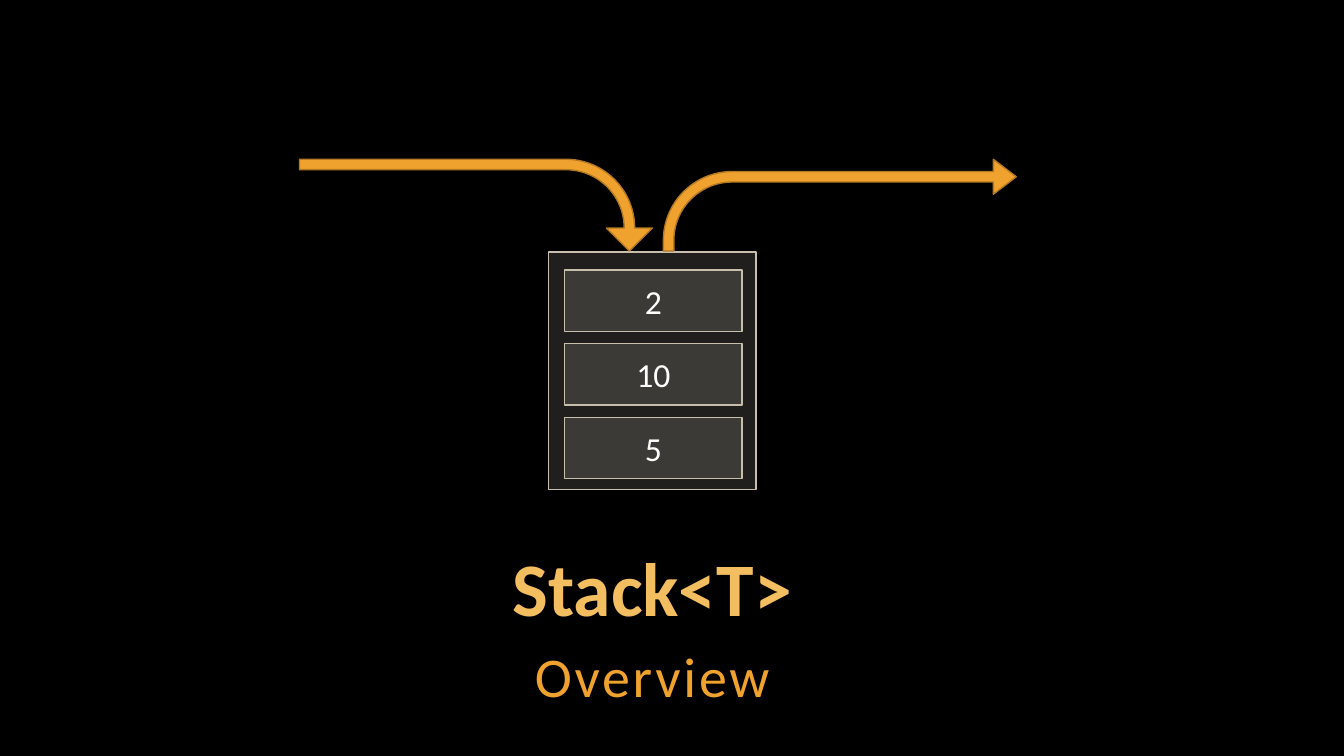
import pptx
import pptx.util
import pptx.dml.color
import pptx.enum.shapes
import pptx.enum.text
import pptx.oxml
import pptx.oxml.ns

Inches = pptx.util.Inches
Pt = pptx.util.Pt
SHAPE = pptx.enum.shapes.MSO_SHAPE
ANCHOR = pptx.enum.text.MSO_ANCHOR
qn = pptx.oxml.ns.qn


def paint(color, code):
    color.rgb = pptx.dml.color.RGBColor.from_string(code)


def write(shape, text, size, code, anchor, pads):
    """Fill a shape with one centred paragraph."""
    frame = shape.text_frame
    frame.text = text
    frame.word_wrap = True
    frame.auto_size = pptx.enum.text.MSO_AUTO_SIZE.NONE
    frame.vertical_anchor = anchor
    frame.margin_left = frame.margin_right = Inches(pads[0])
    frame.margin_top = frame.margin_bottom = Inches(pads[1])
    para = frame.paragraphs[0]
    para.alignment = pptx.enum.text.PP_ALIGN.CENTER
    para.font.name = "Calibri"
    para.font.size = Pt(size)
    paint(para.font.color, code)
    return para


def place(shape, left, top, width, height):
    shape.left, shape.top = Inches(left), Inches(top)
    shape.width, shape.height = Inches(width), Inches(height)


def draw(shapes, kind, box, fill, line, alpha=None):
    """Add a filled, outlined shape, see-through if alpha is given."""
    shape = shapes.add_shape(kind, *map(Inches, box))
    shape.shadow.inherit = False
    shape.fill.solid()
    paint(shape.fill.fore_color, fill)
    paint(shape.line.color, line)
    shape.line.width = Pt(1)
    if alpha is not None:
        color = shape.element.spPr.find(qn("a:solidFill"))[0]
        node = pptx.oxml.parse_xml(
            f'<a:alpha {pptx.oxml.ns.nsdecls("a")} val="{alpha * 1000}"/>')
        color.append(node)
    return shape


def add_heads(slide, left, top, width):
    """Title with the subtitle below it."""
    title, body = slide.placeholders
    place(title, left, top, width, 0.9)
    para = write(title, "Stack<T>", 54, "F3BE60", ANCHOR.BOTTOM, (0.04, 0.04))
    para.font.bold = True
    para.line_spacing = 0.9

    place(body, left, top + 0.87, width, 0.75)
    para = write(body, "Overview", 40, "F0A22E", ANCHOR.TOP, (0.04, 0.04))
    para.line_spacing = 1.05
    para.space_before = Pt(0)
    para.space_after = Pt(6)
    # Letter spacing in hundredths of a point
    body.element.find(f".//{qn('a:defRPr')}").set("spc", "200")


def add_stack(slide, left, top, width, height):
    """Frame with evenly spaced items."""
    shapes = slide.shapes.add_group_shape().shapes
    style = ("D9D5C7", "C7BFAC", 15)
    draw(shapes, SHAPE.RECTANGLE, (left, top, width, height), *style)
    for row, value in enumerate(("2", "10", "5")):
        box = (left + 0.16, top + 0.18 + 0.73 * row, width - 0.3, 0.61)
        item = draw(shapes, SHAPE.RECTANGLE, box, *style)
        write(item, value, 24, "FFFFFF", ANCHOR.MIDDLE, (0.2, 0.1))


def add_flow(slide, left, top, width, height):
    """Arrows into and out of the stack, mirrored about its mouth."""
    shapes = slide.shapes.add_group_shape().shapes
    long, gap = 3.5, 0.11
    # The push arrow is turned, so its box is upright about the same centre
    push = (left + (long - height) / 2, top + (height - long) / 2, height, long)
    pull = (left + long + gap, top, width - long - gap, height)
    for box, turn, head in ((push, 90, 0.25), (pull, 0, 0.191)):
        arrow = draw(shapes, SHAPE.BENT_ARROW, box, "F0A22E", "B27822")
        arrow.rotation = turn
        for index, value in enumerate((0.114, head, 0.25, 0.75)):
            arrow.adjustments[index] = value


def main():
    deck = pptx.Presentation()
    deck.slide_width, deck.slide_height = Inches(13.33), Inches(7.5)
    slide = deck.slides.add_slide(deck.slide_layouts[0])
    slide.background.fill.solid()
    paint(slide.background.fill.fore_color, "000000")
    add_heads(slide, 1.58, 5.42, 9.78)
    add_stack(slide, 5.44, 2.5, 2.06, 2.36)
    add_flow(slide, 2.97, 1.58, 7.11, 0.91)
    deck.save("out.pptx")


if __name__ == "__main__":
    main()
